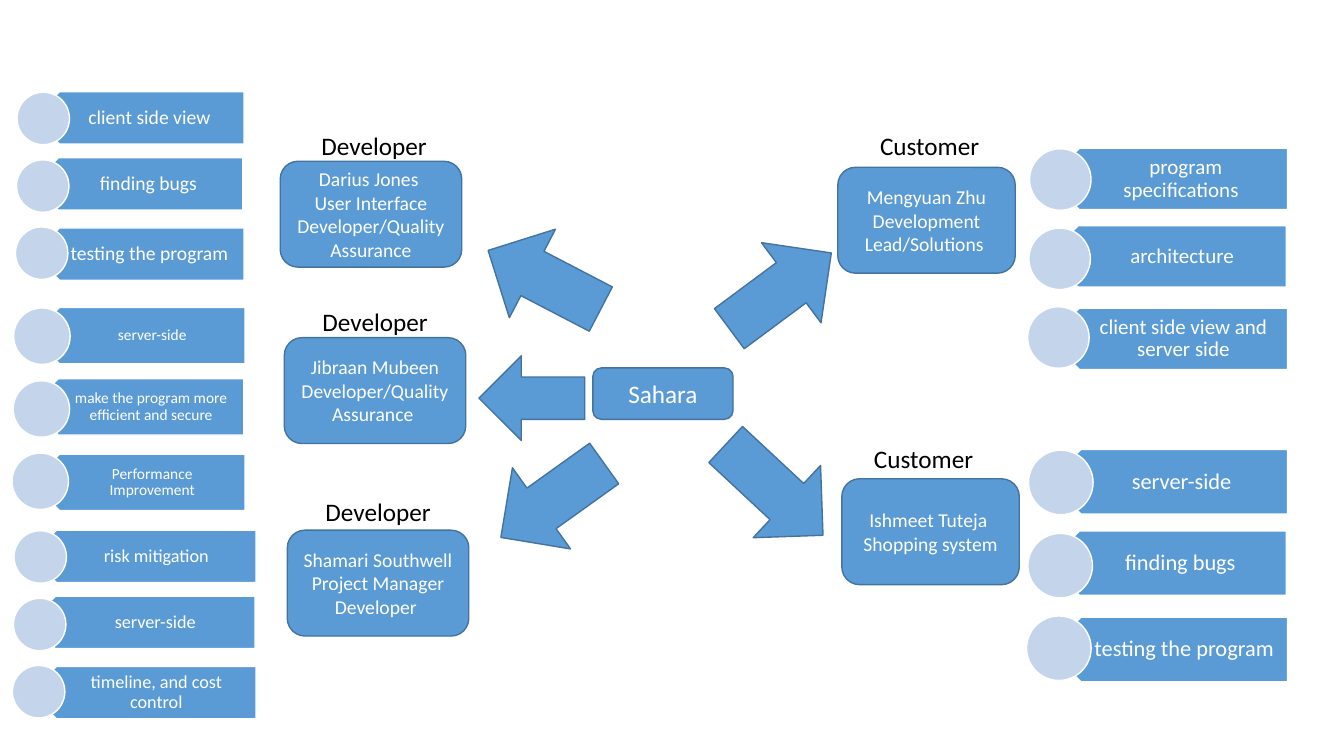
"""Build a slide of team roles around the Sahara project."""
import dataclasses

import pptx
import pptx.dml.color
import pptx.enum.shapes
import pptx.enum.text
import pptx.util

Inches = pptx.util.Inches
Shape = pptx.enum.shapes.MSO_SHAPE
Align = pptx.enum.text.PP_ALIGN


@dataclasses.dataclass(frozen=True)
class Theme:
    """Hold the colours, font and type sizes."""
    blue: str = "5B9BD5"
    edge: str = "43739E"
    pale: str = "C4D5EB"
    white: str = "FFFFFF"
    black: str = "000000"
    font: str = "Calibri"
    title: int = 18
    body: int = 14
    tasks: tuple = (14, 11, 13, 15, 16)


THEME = Theme()

HUB = ("Sahara", 5.88, 3.65, 1.39, 0.51)

PEOPLE = [
    ("Darius Jones \nUser Interface Developer/Quality Assurance", 2.78, 1.6, 1.8),
    ("Jibraan Mubeen Developer/Quality Assurance ", 2.82, 3.35, 1.8),
    ("Shamari Southwell\nProject Manager\nDeveloper ", 2.85, 5.26, 1.8),
    ("Mengyuan Zhu\nDevelopment Lead/Solutions ", 8.31, 1.66, 1.76),
    ("Ishmeet Tuteja \nShopping system", 8.35, 4.75, 1.76),
]

ROLES = [
    ("Developer", 3.09, 1.24, 1.26),
    ("Developer", 3.1, 2.99, 1.26),
    ("Developer", 3.13, 4.87, 1.26),
    ("Customer", 8.63, 1.24, 1.2),
    ("Customer", 8.57, 4.35, 1.2),
]

ARROWS = [
    (4.77, 2.28, 1.26, 0.99, 207.5),
    (4.85, 4.47, 1.26, 0.99, 144.4),
    (7.11, 2.39, 1.26, 0.99, 323.4),
    (4.75, 3.53, 1.05, 0.84, 180),
    (7.02, 4.37, 1.32, 0.98, 43),
]

TASKS = [
    (0.33, 0.91, 2.09, 0.52,
     ("client side view ", "finding bugs ", "testing the program ")),
    (0.31, 3.05, 2.12, 0.56,
     ("server-side", "make the program more efficient and secure",
      "Performance Improvement")),
    (0.3, 5.26, 2.24, 0.52,
     ("risk mitigation", "server-side", "timeline, and cost control")),
    (10.4, 1.47, 2.37, 0.61,
     (" program specifications ", "architecture",
      "client side view and server side")),
    (10.4, 4.46, 2.37, 0.64,
     ("server-side ", "finding bugs ", "testing the program")),
]

# Each step: bar shift, bar drop, dot shift and dot drop, in bar heights.
STEPS = [(0, 0, -0.31, 0.01), (-0.02, 1.26, -0.32, 1.3), (0, 2.6, -0.34, 2.58)]


def tint(name):
    """Return a colour from its hex name."""
    return pptx.dml.color.RGBColor.from_string(name)


def style(frame, size, color, align):
    """Format all text in a frame."""
    for para in frame.paragraphs:
        para.alignment = align
        for run in para.runs:
            run.font.name = THEME.font
            run.font.size = pptx.util.Pt(size)
            run.font.color.rgb = tint(color)


def block(shapes, kind, box, fill=THEME.blue, line=THEME.edge, turn=0):
    """Add a filled preset shape."""
    shape = shapes.add_shape(kind, *map(Inches, box))
    shape.shadow.inherit = False
    shape.fill.solid()
    shape.fill.fore_color.rgb = tint(fill)
    shape.line.color.rgb = tint(line)
    shape.line.width = pptx.util.Pt(1)
    shape.rotation = turn
    return shape


def card(shapes, text, box, size):
    """Add a rounded box with centred text."""
    frame = block(shapes, Shape.ROUNDED_RECTANGLE, box).text_frame
    frame.text = text
    frame.word_wrap = True
    frame.vertical_anchor = pptx.enum.text.MSO_ANCHOR.MIDDLE
    style(frame, size, THEME.white, Align.CENTER)


def label(shapes, text, left, top, width):
    """Add a role name above a card."""
    frame = shapes.add_textbox(*map(Inches, (left, top, width, 0.4))).text_frame
    frame.text = text
    frame.word_wrap = False
    frame.auto_size = pptx.enum.text.MSO_AUTO_SIZE.SHAPE_TO_FIT_TEXT
    style(frame, THEME.title, THEME.black, Align.LEFT)


def task(shapes, text, box, size):
    """Add the text that lies on a task bar."""
    left, top, width, high = box
    nose = high / 4
    spot = (left + nose, top, width - nose, high)
    frame = shapes.add_textbox(*map(Inches, spot)).text_frame
    frame.text = text
    frame.word_wrap = True
    frame.vertical_anchor = pptx.enum.text.MSO_ANCHOR.MIDDLE
    frame.margin_left = Inches(0.44 * high)
    frame.margin_right = Inches(0.19 * high)
    frame.margin_top = frame.margin_bottom = Inches(0.1 * high)
    frame.paragraphs[0].line_spacing = 0.9
    style(frame, size, THEME.white, Align.CENTER)


def stack(shapes, left, top, width, high, texts, size):
    """Add a group of task bars with round markers."""
    group = shapes.add_group_shape().shapes
    for text, step in zip(texts, STEPS):
        shift, drop, side, fall = (high * part for part in step)
        box = (left + shift, top + drop, width, high)
        dot = (left + side, top + fall, high, high)
        block(group, Shape.PENTAGON, box, line=THEME.white, turn=180)
        task(group, text, box, size)
        block(group, Shape.OVAL, dot, THEME.pale, THEME.white)


def main():
    """Build and save the slide."""
    deck = pptx.Presentation()
    deck.slide_width, deck.slide_height = Inches(13.33), Inches(7.5)
    shapes = deck.slides.add_slide(deck.slide_layouts[6]).shapes
    name, *spot = HUB
    card(shapes, name, spot, THEME.title)
    for text, left, top, width in PEOPLE:
        card(shapes, text, (left, top, width, 1.05), THEME.body)
    for role in ROLES:
        label(shapes, *role)
    for *box, turn in ARROWS:
        block(shapes, Shape.RIGHT_ARROW, box, turn=turn)
    for tasks, size in zip(TASKS, THEME.tasks):
        stack(shapes, *tasks, size)
    deck.save("out.pptx")


if __name__ == "__main__":
    main()
